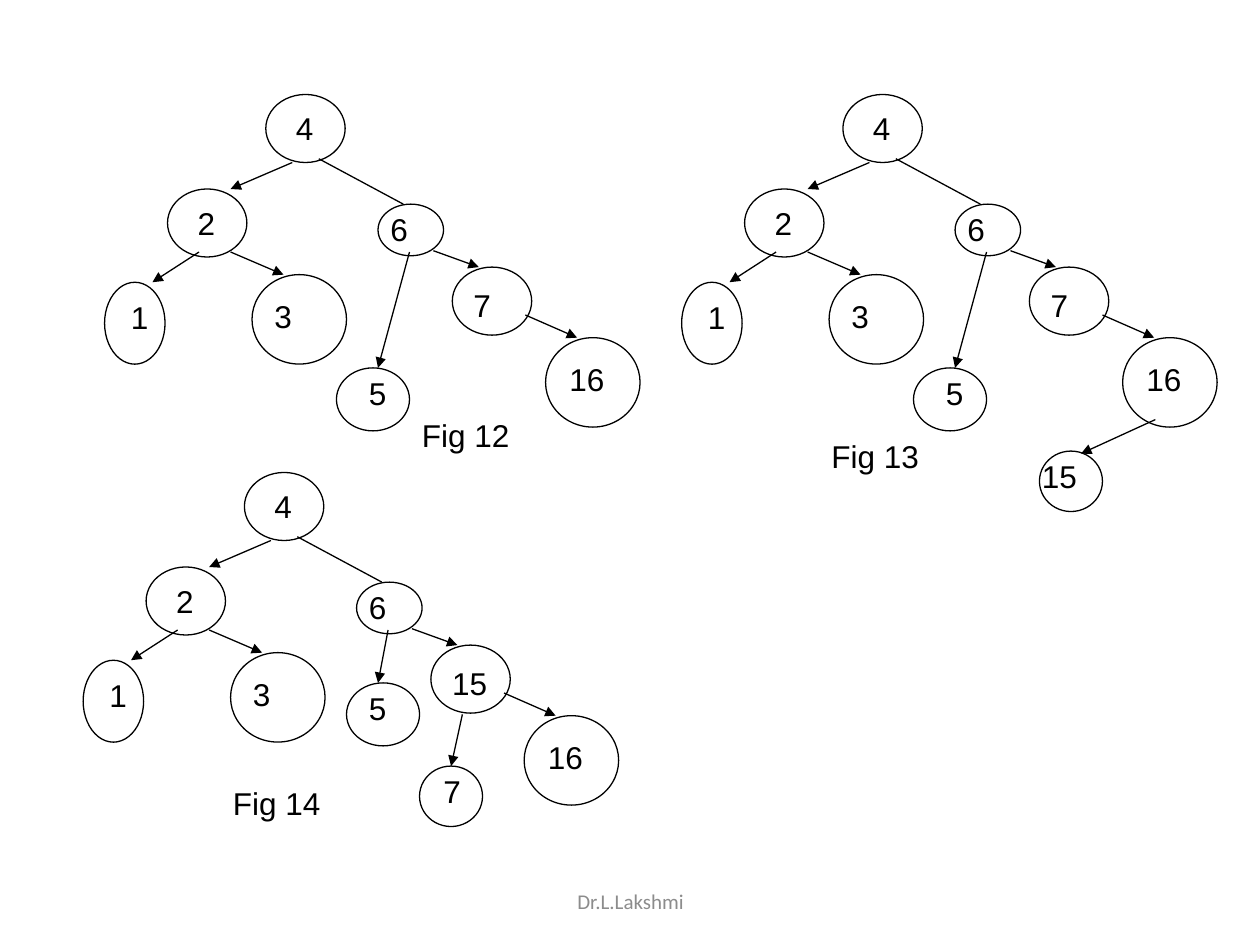
from dataclasses import dataclass

from lxml.etree import SubElement
from pptx import Presentation
from pptx.dml.color import RGBColor
from pptx.enum.shapes import MSO_CONNECTOR as Connector, MSO_SHAPE as Preset
from pptx.enum.text import MSO_ANCHOR as Anchor, PP_ALIGN as Align
from pptx.oxml.ns import qn
from pptx.util import Inches, Pt


@dataclass(frozen=True)
class Theme:
    ink: RGBColor = RGBColor(0, 0, 0)
    muted: RGBColor = RGBColor(0x8C, 0x8C, 0x8C)
    label_font: str = "Arial"
    footer_font: str = "Calibri"
    label_size: int = 18
    footer_size: int = 12
    line_width: float = 0.75


@dataclass(frozen=True)
class Node:
    label: str
    left: float
    top: float
    width: float
    height: float
    label_dx: float
    label_dy: float
    label_width: float


@dataclass(frozen=True)
class Edge:
    start: tuple
    end: tuple
    arrow: bool = True


@dataclass(frozen=True)
class Tree:
    caption: str
    caption_at: tuple
    origin: tuple
    nodes: list
    edges: list


THEME = Theme()
MEDIUM = (0.63, 0.54)
LARGE = (0.75, 0.71)
SMALL = (0.58, 0.5)
LEAF = (0.5, 0.48)

COMMON_NODES = [
    Node("4", 2.11, 0.75, *MEDIUM, 0.14, 0.07, 1.12),
    Node("2", 1.33, 1.5, *MEDIUM, 0.14, 0.07, 0.7),
    Node("6", 3, 1.62, 0.52, 0.41, 0, 0, 0.52),
    Node("1", 0.83, 2.24, 0.48, 0.65, 0.11, 0.08, 0.54),
    Node("3", 2, 2.18, *LARGE, 0.08, 0.13, 1),
    Node("16", 4.33, 2.68, *LARGE, 0.09, 0.13, 1),
]
COMMON_EDGES = [
    Edge((2.32, 1.29), (1.83, 1.5)),
    Edge((2.53, 1.26), (3.2, 1.62), arrow=False),
    Edge((3.44, 1.99), (3.8, 2.12)),
    Edge((1.58, 2), (1.21, 2.24)),
    Edge((1.83, 2), (2.25, 2.18)),
    Edge((4.17, 2.5), (4.58, 2.68)),
]


def right_child(label):
    return Node(label, 3.59, 2.12, *MEDIUM, 0.07, 0.1, 0.84)


LOW_FIVE = Node("5", 2.67, 2.92, *SMALL, 0.16, 0, 0.83)
LOW_FIVE_EDGE = Edge((3.25, 2), (3, 2.92))

TREES = [
    Tree("Fig 12", (3.25, 3.25), (0, 0),
         COMMON_NODES + [right_child("7"), LOW_FIVE],
         COMMON_EDGES + [LOW_FIVE_EDGE]),
    Tree("Fig 13", (1.92, 3.42), (4.58, 0),
         COMMON_NODES + [right_child("7"), LOW_FIVE,
                         Node("15", 3.67, 3.58, *LEAF, -0.08, 0, 0.83)],
         COMMON_EDGES + [LOW_FIVE_EDGE, Edge((4.59, 3.33), (4, 3.6))]),
    Tree("Fig 14", (1.92, 3.17), (-0.17, 3),
         COMMON_NODES + [right_child("15"),
                         Node("5", 2.92, 2.42, *SMALL, 0.08, 0, 0.83),
                         Node("7", 3.5, 3.08, *LEAF, 0.09, 0, 0.83)],
         COMMON_EDGES + [Edge((3.25, 2), (3.17, 2.42)),
                         Edge((3.84, 2.67), (3.75, 3.08))]),
]


def add_text(shapes, text, left, top, width, font=THEME.label_font,
             size=THEME.label_size, color=THEME.ink,
             align=Align.LEFT, anchor=Anchor.TOP):
    box = shapes.add_textbox(Inches(left), Inches(top), Inches(width), Inches(0.4))
    frame = box.text_frame
    frame.word_wrap = True
    frame.vertical_anchor = anchor
    paragraph = frame.paragraphs[0]
    paragraph.alignment = align
    run = paragraph.add_run()
    run.text = text
    run.font.name = font
    run.font.size = Pt(size)
    run.font.color.rgb = color


def style_line(line):
    line.color.rgb = THEME.ink
    line.width = Pt(THEME.line_width)


def add_node(shapes, node, origin):
    left, top = origin[0] + node.left, origin[1] + node.top
    ellipse = shapes.add_shape(Preset.OVAL, Inches(left), Inches(top),
                               Inches(node.width), Inches(node.height))
    ellipse.shadow.inherit = False
    ellipse.fill.background()
    style_line(ellipse.line)
    add_text(shapes, node.label, left + node.label_dx, top + node.label_dy,
             node.label_width)


def add_edge(shapes, edge, origin):
    ends = [Inches(offset + value) for point in (edge.start, edge.end)
            for offset, value in zip(origin, point)]
    connector = shapes.add_connector(Connector.STRAIGHT, *ends)
    style_line(connector.line)
    properties = connector.element.spPr
    if edge.arrow:
        SubElement(properties.find(qn("a:ln")), qn("a:tailEnd"), type="triangle")
    SubElement(properties, qn("a:effectLst"))


def add_tree(slide, tree):
    shapes = slide.shapes.add_group_shape().shapes
    for node in tree.nodes:
        add_node(shapes, node, tree.origin)
    for edge in tree.edges:
        add_edge(shapes, edge, tree.origin)
    left, top = (a + b for a, b in zip(tree.origin, tree.caption_at))
    add_text(shapes, tree.caption, left, top, 1.25)


def main():
    presentation = Presentation()
    presentation.slide_width = Inches(10)
    presentation.slide_height = Inches(7.5)
    slide = presentation.slides.add_slide(presentation.slide_layouts[6])
    for tree in TREES:
        add_tree(slide, tree)
    add_text(slide.shapes, "Dr.L.Lakshmi", 3.42, 6.95, 3.17, THEME.footer_font,
             THEME.footer_size, THEME.muted, Align.CENTER, Anchor.MIDDLE)
    presentation.save("out.pptx")


if __name__ == "__main__":
    main()
